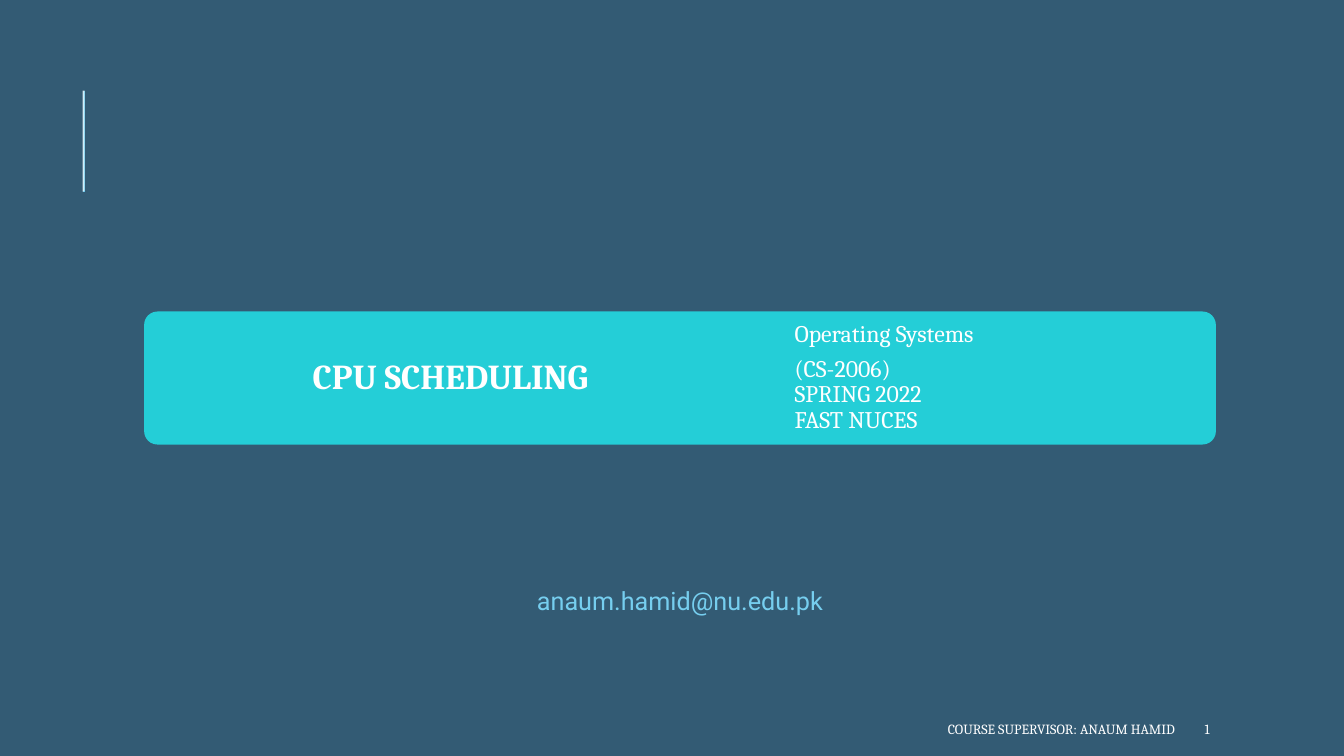
import pptx
import pptx.util
import pptx.dml.color
import pptx.enum.dml
import pptx.enum.shapes
import pptx.enum.text
import pptx.oxml.ns
from lxml import etree
from pptx.util import Inches

RGBColor = pptx.dml.color.RGBColor
ALIGN = pptx.enum.text.PP_ALIGN
ANCHOR = pptx.enum.text.MSO_ANCHOR

NAVY = RGBColor(0x33, 0x5B, 0x74)
BLUE = RGBColor(0x1C, 0xAD, 0xE4)
TURQUOISE = RGBColor(0x24, 0xCE, 0xD7)
SKY = RGBColor(0x76, 0xCE, 0xEF)
WHITE = RGBColor(0xFF, 0xFF, 0xFF)

BANNER_TOP, BANNER_HEIGHT = 3.09, 1.32


def place(shape, left, top, width, height):
    shape.left, shape.top = Inches(left), Inches(top)
    shape.width, shape.height = Inches(width), Inches(height)


def write_text(shape, paragraphs, size, color=WHITE, font="Cambria", bold=False,
               align=ALIGN.LEFT, anchor=ANCHOR.MIDDLE, inset=None, spacing=None):
    frame = shape.text_frame
    frame.word_wrap = True
    frame.auto_size = pptx.enum.text.MSO_AUTO_SIZE.NONE
    frame.vertical_anchor = anchor
    if inset is not None:
        frame.margin_left = frame.margin_right = Inches(inset)
        frame.margin_top = frame.margin_bottom = Inches(inset)
    for index, words in enumerate(paragraphs):
        para = frame.add_paragraph() if index else frame.paragraphs[0]
        para.text = words
        para.alignment = align
        para.space_before = pptx.util.Pt(6 if index else 0)
        para.line_spacing = spacing
        for span in para.runs:
            span.font.name = font
            span.font.size = pptx.util.Pt(size)
            span.font.bold = bold
            span.font.color.rgb = color


def add_text(page, left, top, width, height, words, size, **style):
    box = page.shapes.add_textbox(0, 0, 0, 0)
    place(box, left, top, width, height)
    write_text(box, [words], size, **style)


def add_accent_line(page, color, opacity):
    line = page.shapes.add_connector(
        pptx.enum.shapes.MSO_CONNECTOR.STRAIGHT,
        Inches(0.83), Inches(1.9), Inches(0.83), Inches(0.9))
    line.line.color.rgb = color
    line.line.width = pptx.util.Pt(1.5)
    qn = pptx.oxml.ns.qn
    properties = line.element.spPr
    tint = properties.find(".//" + qn("a:srgbClr"))
    etree.SubElement(tint, qn("a:alpha")).set("val", str(opacity * 1000))
    etree.SubElement(properties, qn("a:effectLst"))


def add_banner(page):
    banner = page.shapes.add_shape(
        pptx.enum.shapes.MSO_SHAPE.ROUNDED_RECTANGLE, 0, 0, 0, 0)
    place(banner, 1.43, BANNER_TOP, 10.63, BANNER_HEIGHT)
    banner.adjustments[0] = 0.1
    banner.shadow.inherit = False
    banner.fill.solid()
    banner.fill.fore_color.rgb = TURQUOISE
    banner.line.fill.background()
    return banner


def main():
    deck = pptx.Presentation()
    deck.slide_width, deck.slide_height = Inches(13.33), Inches(7.5)
    page = deck.slides.add_slide(deck.slide_layouts[0])
    page.background.fill.solid()
    page.background.fill.fore_color.rgb = NAVY

    # Accent line: a white tint over blue
    add_accent_line(page, BLUE, 100)
    add_accent_line(page, WHITE, 80)

    # Banner, behind the title and the course details
    title, course = page.placeholders[0], page.placeholders[1]
    title.element.addprevious(add_banner(page).element)
    place(title, 2.96, BANNER_TOP, 4.78, BANNER_HEIGHT)
    write_text(title, ["CPU SCHEDULING"], 25, bold=True, inset=0.14, spacing=0.9)
    place(course, 7.74, BANNER_TOP, 4.32, BANNER_HEIGHT)
    write_text(course, ["Operating Systems", "(CS-2006)\nSPRING 2022\nFAST NUCES"],
               17, inset=0.14, spacing=0.9)

    # Contact and footer
    add_text(page, 5.08, 5.76, 3.33, 0.4, "anaum.hamid@nu.edu.pk", 18, color=SKY,
             font="Roboto", align=ALIGN.CENTER, anchor=ANCHOR.TOP)
    add_text(page, 5.3, 7.08, 6.45, 0.3, "COURSE SUPERVISOR: ANAUM HAMID", 10,
             align=ALIGN.RIGHT)
    add_text(page, 11.85, 7.08, 1.06, 0.3, "1", 10)

    deck.save("out.pptx")


if __name__ == "__main__":
    main()
